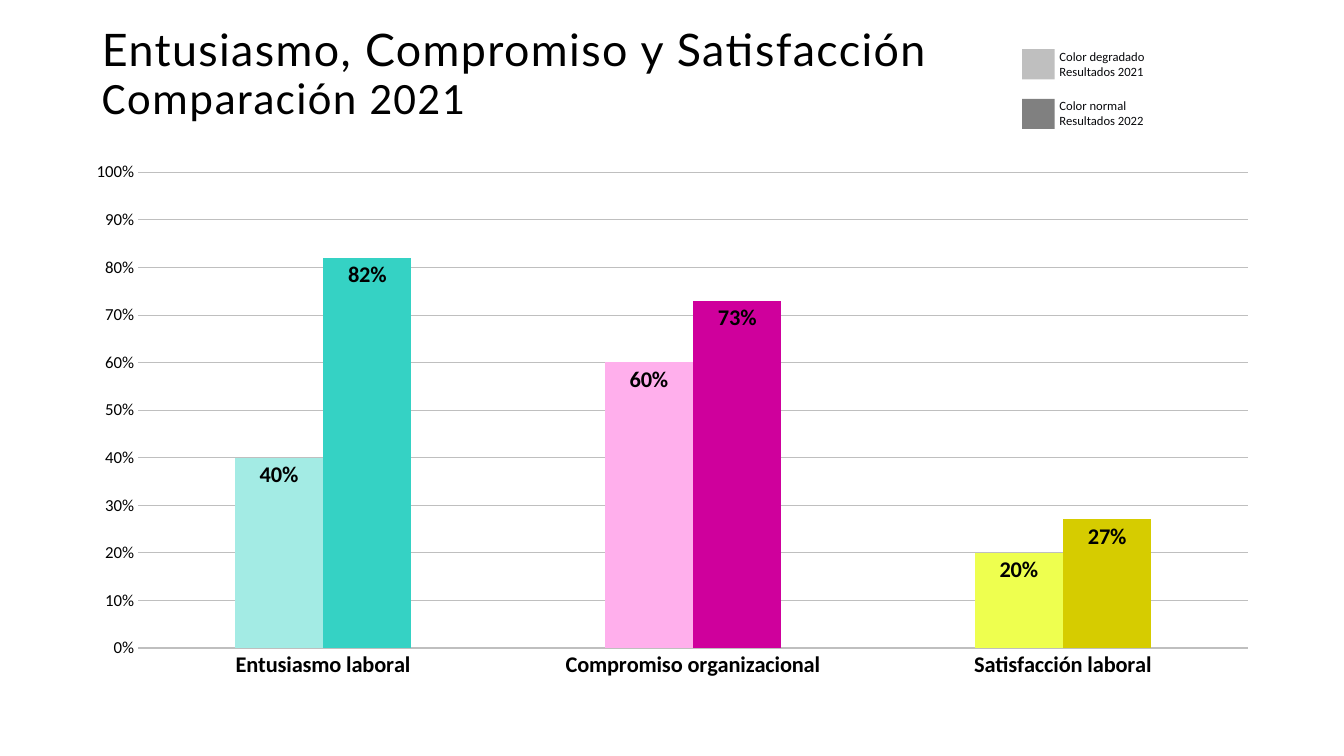
from lxml import etree
from pptx import Presentation
from pptx.chart.data import CategoryChartData
from pptx.dml.color import RGBColor
from pptx.enum.chart import XL_CHART_TYPE, XL_LABEL_POSITION, XL_TICK_MARK
from pptx.enum.shapes import MSO_SHAPE
from pptx.oxml.ns import qn
from pptx.util import Cm, Pt

COLUMNS = XL_CHART_TYPE.COLUMN_CLUSTERED
INSIDE_END = XL_LABEL_POSITION.INSIDE_END
NO_TICK = XL_TICK_MARK.NONE
RECTANGLE = MSO_SHAPE.RECTANGLE

BLACK = RGBColor(0x00, 0x00, 0x00)
INK = RGBColor(0x07, 0x08, 0x0B)
SILVER = RGBColor(0xBF, 0xBF, 0xBF)
GREY = RGBColor(0x80, 0x80, 0x80)
LIGHT_TEAL = RGBColor(0xA3, 0xEB, 0xE4)
TEAL = RGBColor(0x35, 0xD2, 0xC4)
LIGHT_PINK = RGBColor(0xFF, 0xAF, 0xEC)
MAGENTA = RGBColor(0xCF, 0x00, 0x9C)
LIGHT_YELLOW = RGBColor(0xEE, 0xFF, 0x4F)
MUSTARD = RGBColor(0xD6, 0xCC, 0x00)

CATEGORIES = ["Entusiasmo laboral", "Compromiso organizacional", "Satisfacción laboral"]
RESULTS = [
    ("2021", [0.40, 0.60, 0.20], [LIGHT_TEAL, LIGHT_PINK, LIGHT_YELLOW]),
    ("2022", [0.82, 0.73, 0.27], [TEAL, MAGENTA, MUSTARD]),
]
LEGEND = [
    (SILVER, ["Color degradado", "Resultados 2021"]),
    (GREY, ["Color normal", "Resultados 2022"]),
]


class SlideBuilder:
    title_font = "Lato"
    body_font = "Calibri"

    def __init__(self, page):
        self.page = page

    def style(self, font, size, color=BLACK, bold=False):
        font.name = self.body_font
        font.size = Pt(size)
        font.bold = bold
        font.color.rgb = color

    def text_box(self, left, top, width, height):
        frame = self.page.shapes.add_textbox(Cm(left), Cm(top), Cm(width), Cm(height)).text_frame
        frame.word_wrap = True
        return frame

    def title(self, left, top, width, height, lines):
        frame = self.text_box(left, top, width, height)
        frame.margin_left = frame.margin_top = frame.margin_right = frame.margin_bottom = 0
        para = frame.paragraphs[0]
        para.line_spacing = 0.9
        for index, (text, font_name) in enumerate(lines):
            if index:
                para.add_line_break()
            span = para.add_run()
            span.text = text
            self.style(span.font, 32)
            span.font.name = font_name
            span.font._element.set("spc", "100")

    def label(self, left, top, width, height, lines):
        frame = self.text_box(left, top, width, height)
        frame.text = "\n".join(lines)
        for para in frame.paragraphs:
            self.style(para.font, 9, INK)

    def swatch(self, left, top, width, height, color):
        box = self.page.shapes.add_shape(RECTANGLE, Cm(left), Cm(top), Cm(width), Cm(height))
        box.shadow.inherit = False
        box.fill.solid()
        box.fill.fore_color.rgb = color
        box.line.fill.background()

    def column_chart(self, frame, plot, categories, results):
        data = CategoryChartData(number_format="0%")
        data.categories = categories
        for name, values, _ in results:
            data.add_series(name, values)
        chart = self.page.shapes.add_chart(COLUMNS, *map(Cm, frame), data).chart
        chart.has_legend = False
        chart.has_title = False
        self.style(chart.font, 10)
        self.axes(chart)
        self.place_plot(chart, frame, plot)
        columns = chart.plots[0]
        columns.gap_width = 219
        columns.overlap = 0
        columns.vary_by_categories = False
        for series, (_, _, colors) in zip(columns.series, results):
            for index, color in enumerate(colors):
                fill = series.points[index].format.fill
                fill.solid()
                fill.fore_color.rgb = color
            labels = series.data_labels
            labels.show_value = True
            labels.position = INSIDE_END
            labels.number_format = "0%"
            labels.number_format_is_linked = False
            self.style(labels.font, 16, bold=True)

    def axes(self, chart):
        for axis, size in ((chart.category_axis, 16), (chart.value_axis, 12)):
            axis.major_tick_mark = axis.minor_tick_mark = NO_TICK
            self.style(axis.tick_labels.font, size, bold=axis is not chart.value_axis and size == 16)
        category_line = chart.category_axis.format.line
        category_line.color.rgb = SILVER
        category_line.width = Pt(0.75)
        scale = chart.value_axis
        scale.minimum_scale, scale.maximum_scale, scale.major_unit = 0, 1, 0.1
        scale.tick_labels.number_format = "0%"
        scale.tick_labels.number_format_is_linked = False
        scale.format.line.fill.background()
        scale.has_major_gridlines = True
        grid_line = scale.major_gridlines.format.line
        grid_line.color.rgb = SILVER
        grid_line.width = Pt(0.5)

    def place_plot(self, chart, frame, plot):
        left, top, width, height = frame
        plot_left, plot_top, plot_width, plot_height = plot
        settings = [
            ("layoutTarget", "inner"), ("xMode", "edge"), ("yMode", "edge"),
            ("x", (plot_left - left) / width), ("y", (plot_top - top) / height),
            ("w", plot_width / width), ("h", plot_height / height),
        ]
        area = chart._chartSpace.chart.plotArea
        for old_layout in area.findall(qn("c:layout")):
            area.remove(old_layout)
        layout = etree.Element(qn("c:layout"))
        area.insert(0, layout)
        manual = etree.SubElement(layout, qn("c:manualLayout"))
        for name, value in settings:
            etree.SubElement(manual, qn("c:" + name)).set("val", str(value))


def main():
    deck = Presentation()
    deck.slide_width, deck.slide_height = Cm(33.87), Cm(19.05)
    builder = SlideBuilder(deck.slides.add_slide(deck.slide_layouts[6]))
    builder.title(2.57, 0.69, 21.74, 2.69, [
        ("Entusiasmo, Compromiso y Satisfacción", builder.title_font),
        ("Comparación 2021", builder.body_font),
    ])
    for index, (color, lines) in enumerate(LEGEND):
        top = 1.24 + 1.25 * index
        builder.swatch(25.76, top, 0.82, 0.76, color)
        builder.label(26.45, top - 0.14, 6, 1.02, lines)
    builder.column_chart((1.83, 3.81, 30.23, 13.56), (3.48, 4.34, 27.97, 11.99),
                         CATEGORIES, RESULTS)
    deck.save("out.pptx")


if __name__ == "__main__":
    main()
